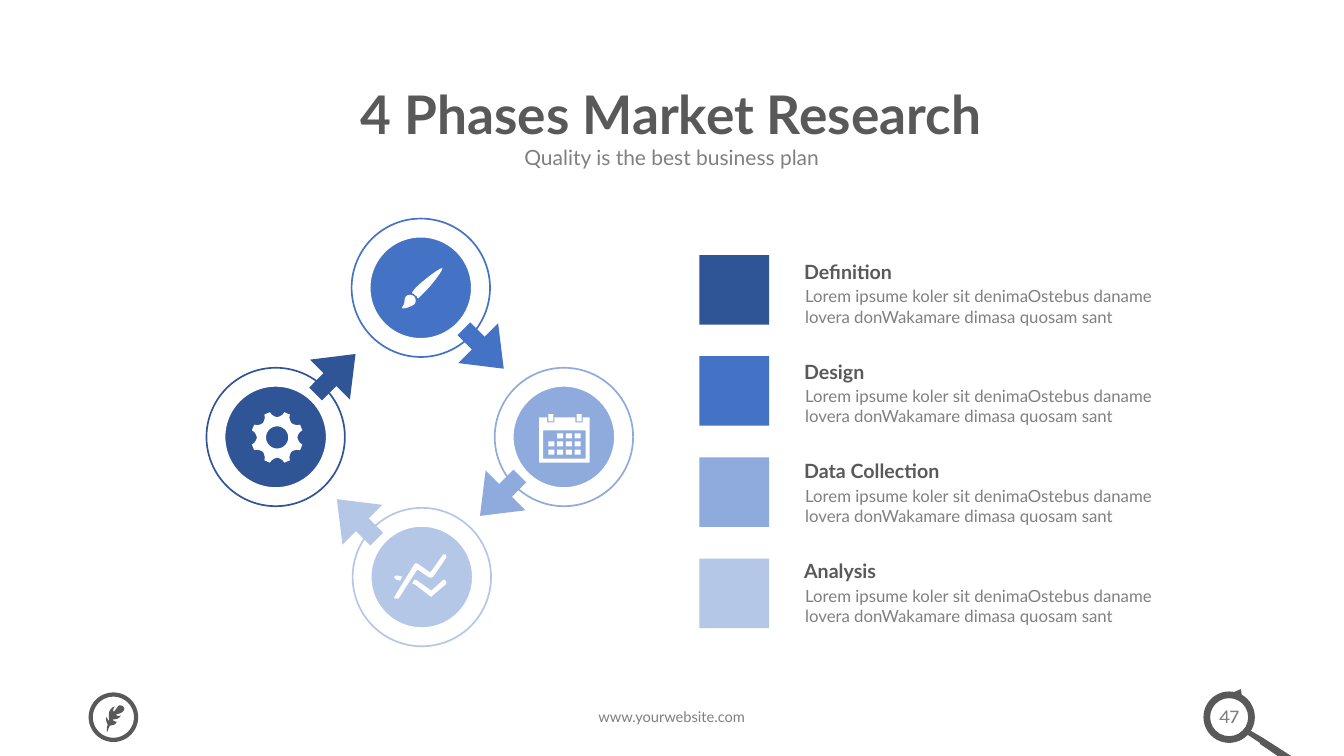
from math import cos, radians, sin

from pptx import Presentation
from pptx.dml.color import RGBColor
from pptx.enum.shapes import MSO_SHAPE
from pptx.enum.text import MSO_ANCHOR, MSO_AUTO_SIZE, PP_ALIGN
from pptx.util import Cm, Pt

# Content (positions in inches, turned into Cm by size())
COLORS = {"navy": "2F5597", "blue": "4472C4", "sky": "8FAADC", "pale": "B4C7E7",
          "dark": "595959", "gray": "808080", "white": "FFFFFF"}
TITLE = "4 Phases Market Research"
SUBTITLE = "Quality is the best business plan"
WEBSITE = "www.yourwebsite.com"
PAGE = "47"
LOREM = "Lorem ipsume koler sit denimaOstebus daname lovera donWakamare dimasa quosam sant"

# heading, colour, ring corner, arrow corner; arrows turn clockwise
PHASES = [
    ("Definition", "navy", (2.04, 3.64), (3.05, 3.43)),
    ("Design", "blue", (3.48, 2.16), (4.52, 3.18)),
    ("Data Collection", "sky", (4.9, 3.64), (4.68, 4.64)),
    ("Analysis", "pale", (3.49, 5.03), (3.26, 4.87)),
]
RING, DISC, ARROW, SQUARE = 1.39, 1.06, 0.56, 0.69

# Curved outlines: a start point, then two handles and an end point per curve
BRUSH_CURVES = [
    [(4.39, 2.66), (4.37, 2.65), (4.19, 2.79), (4.13, 2.85), (4.11, 2.87), (4.1, 2.89),
     (4.09, 2.9), (4.09, 2.9), (4.09, 2.9), (4.09, 2.91), (4.1, 2.91), (4.11, 2.92),
     (4.12, 2.93), (4.13, 2.94), (4.14, 2.94), (4.14, 2.95), (4.14, 2.95), (4.14, 2.96),
     (4.15, 2.96), (4.16, 2.95), (4.17, 2.94), (4.2, 2.91), (4.26, 2.86), (4.4, 2.68),
     (4.39, 2.66)],
    [(4.03, 2.94), (4, 2.97), (4.03, 3), (3.99, 3.05), (3.97, 3.07), (4.06, 3.06),
     (4.11, 3.02), (4.13, 3), (4.13, 2.97), (4.11, 2.94), (4.08, 2.92), (4.05, 2.92),
     (4.03, 2.94)],
]
FEATHER_CURVES = [
    [(1.07, 7.25), (1.07, 7.24), (1.08, 7.22), (1.09, 7.2), (1.12, 7.19), (1.14, 7.2),
     (1.16, 7.16), (1.14, 7.16), (1.12, 7.15), (1.12, 7.14), (1.12, 7.13), (1.17, 7.15),
     (1.2, 7.1), (1.16, 7.11), (1.15, 7.09), (1.15, 7.09), (1.17, 7.08), (1.2, 7.08),
     (1.22, 7.06), (1.23, 7.05), (1.24, 7.03), (1.23, 7.02), (1.23, 7.01), (1.2, 6.99),
     (1.18, 7), (1.17, 7), (1.14, 7.06), (1.13, 7.06), (1.12, 7.06), (1.12, 7.03),
     (1.14, 7.01), (1.12, 7.01), (1.1, 7.03), (1.09, 7.05), (1.07, 7.08), (1.09, 7.15),
     (1.08, 7.15), (1.08, 7.16), (1.06, 7.12), (1.06, 7.11), (1.05, 7.13), (1.05, 7.15),
     (1.07, 7.19), (1.06, 7.21), (1.06, 7.23), (1.06, 7.25), (1.06, 7.26), (1.07, 7.26),
     (1.07, 7.25)],
]
# Straight outlines
TREND = [
    [(4.14, 5.65), (4.26, 5.73), (4.28, 5.73), (4.3, 5.72), (4.43, 5.53), (4.43, 5.51),
     (4.42, 5.5), (4.4, 5.5), (4.39, 5.51), (4.27, 5.68), (4.14, 5.59), (4.12, 5.59),
     (4.11, 5.6), (3.92, 5.91), (3.91, 5.93), (3.92, 5.94), (3.94, 5.94), (3.96, 5.93)],
    [(4.39, 5.76), (4.28, 5.86), (4.14, 5.76), (4.11, 5.75), (4.09, 5.79), (4.12, 5.8),
     (4.26, 5.91), (4.28, 5.92), (4.29, 5.91), (4.42, 5.8), (4.43, 5.78), (4.42, 5.76),
     (4.4, 5.75)],
    [(3.93, 5.75), (3.97, 5.76), (3.99, 5.72), (3.94, 5.71), (3.92, 5.71), (3.91, 5.73)],
]
CALENDAR = [
    [(5.85, 4.14), (5.78, 4.14), (5.78, 4.19), (5.71, 4.19), (5.71, 4.14), (5.5, 4.14),
     (5.5, 4.19), (5.43, 4.19), (5.43, 4.14), (5.35, 4.14), (5.35, 4.59), (5.85, 4.59)],
    [(5.81, 4.55), (5.39, 4.55), (5.39, 4.27), (5.81, 4.27)],
]
HANDLE = [[(12.38, 7.29), (12.41, 7.25), (12.53, 7.32), (12.92, 7.57), (12.94, 7.6),
           (12.9, 7.65), (12.5, 7.38), (12.5, 7.37)]]

deck = Presentation()
deck.slide_width, deck.slide_height = Cm(33.87), Cm(19.05)
slide = deck.slides.add_slide(deck.slide_layouts[6])


def size(inches):
    return Cm(inches * 2.54)


def rgb(color):
    return RGBColor.from_string(COLORS[color])


def paint(shape, fill=None, line=None, width=1):
    shape.shadow.inherit = False
    if fill:
        shape.fill.solid()
        shape.fill.fore_color.rgb = rgb(fill)
    else:
        shape.fill.background()
    if line:
        shape.line.color.rgb = rgb(line)
        shape.line.width = Pt(width)
    else:
        shape.line.fill.background()


def add_preset(kind, x, y, w, h, adjust=(), turn=0, **look):
    shape = slide.shapes.add_shape(kind, size(x), size(y), size(w), size(h))
    for i, value in enumerate(adjust):
        shape.adjustments[i] = value
    shape.rotation = turn
    paint(shape, **look)


def add_outline(contours, fill):
    builder = None
    for contour in contours:
        points = [(size(x), size(y)) for x, y in contour]
        if builder is None:
            builder = slide.shapes.build_freeform(*points[0])
        else:
            builder.move_to(*points[0])
        builder.add_line_segments(points[1:], close=True)
    paint(builder.convert_to_shape(), fill=fill)


def add_text(text, x, y, w, h, points=12, color="gray", font="Lato", bold=False,
             align=PP_ALIGN.LEFT, anchor=MSO_ANCHOR.TOP, spacing=None, inset=(0.1, 0.05),
             grow=True):
    box = slide.shapes.add_textbox(size(x), size(y), size(w), size(h))
    frame = box.text_frame
    frame.word_wrap = True
    frame.auto_size = MSO_AUTO_SIZE.SHAPE_TO_FIT_TEXT if grow else MSO_AUTO_SIZE.NONE
    frame.vertical_anchor = anchor
    frame.margin_left = frame.margin_right = size(inset[0])
    frame.margin_top = frame.margin_bottom = size(inset[1])
    paragraph = frame.paragraphs[0]
    paragraph.alignment = align
    paragraph.line_spacing = spacing
    run = paragraph.add_run()
    run.text = text
    run.font.name, run.font.size, run.font.bold = font, Pt(points), bold
    run.font.color.rgb = rgb(color)


def polar(x, y, radius, angle):
    return x + radius * cos(radians(angle)), y + radius * sin(radians(angle))


def trace(curves, steps=6):
    """Follow a chain of cubic curves as short straight steps."""
    points = [curves[0]]
    for i in range(0, len(curves) - 1, 3):
        for step in range(1, steps + 1):
            t = step / steps
            weights = ((1 - t) ** 3, 3 * t * (1 - t) ** 2, 3 * t * t * (1 - t), t ** 3)
            points.append(tuple(sum(w * p[axis] for w, p in zip(weights, curves[i:i + 4]))
                                for axis in (0, 1)))
    return points


# Heading
add_text(TITLE, 1.66, 0.75, 10, 0.82, points=38, color="dark", bold=True,
         align=PP_ALIGN.CENTER, anchor=MSO_ANCHOR.MIDDLE, spacing=0.9, grow=False)
add_text(SUBTITLE, 2.67, 1.36, 7.99, 0.39, points=15, align=PP_ALIGN.CENTER,
         inset=(0.13, 0.07))

# Legend and arrows
for i, (heading, color, ring, arrow) in enumerate(PHASES):
    add_preset(MSO_SHAPE.RECTANGLE, 6.94, 2.53 + 1.004 * i, SQUARE, SQUARE, fill=color)
    add_text(LOREM, 7.89, 2.79 + 0.99 * i, 3.66, 0.5)
    add_text(heading, 7.88, 2.41 + 0.99 * i, 2.13, 0.45, points=14, color="dark", bold=True,
             anchor=MSO_ANCHOR.MIDDLE, spacing=1.5)
    add_preset(MSO_SHAPE.RIGHT_ARROW, *arrow, ARROW, ARROW, adjust=(0.32, 0.64),
               turn=(315 + 90 * i) % 360, fill=color)

# Rings and discs
for _, color, (x, y), _ in PHASES:
    inset = (RING - DISC) / 2
    add_preset(MSO_SHAPE.DONUT, x, y, RING, RING, adjust=(0.012,), fill=color)
    add_preset(MSO_SHAPE.OVAL, x + inset, y + inset, DISC, DISC, fill=color, line="white",
               width=4.5)

# Gear: eight round notches and a hole
GEAR_CENTER = (2.75, 4.34)
NOTCH = [(-16, 0.26), (-13, 0.23), (-7, 0.21), (0, 0.2), (7, 0.21), (13, 0.23), (16, 0.26)]
gear_rim = [polar(*GEAR_CENTER, radius, 45 * k + turn) for k in range(8) for turn, radius in NOTCH]
gear_hole = [polar(*GEAR_CENTER, 0.11, angle) for angle in range(0, 360, 10)]
add_outline([gear_rim, gear_hole], "white")

# Brush, calendar, trend lines
add_outline([trace(curves) for curves in BRUSH_CURVES], "white")
add_outline(CALENDAR, "white")
for x in (5.44, 5.72):
    add_preset(MSO_SHAPE.RECTANGLE, x, 4.11, 0.05, 0.07, fill="white")
for day in range(1, 12):
    row, column = divmod(day, 4)
    add_preset(MSO_SHAPE.RECTANGLE, 5.44 + 0.087 * column, 4.3 + 0.08 * row, 0.06, 0.05,
               fill="white")
add_outline(TREND, "white")

# Footer: feather badge, address, magnifier with page number
add_preset(MSO_SHAPE.OVAL, 0.9, 6.89, 0.45, 0.45, line="dark", width=3)
add_outline([trace(curves) for curves in FEATHER_CURVES], "dark")
add_text(WEBSITE, 4.25, 6.97, 4.83, 0.29, points=10.5, align=PP_ALIGN.CENTER)
add_text(PAGE, 11.89, 6.93, 0.61, 0.34, points=14, font="Karla", align=PP_ALIGN.CENTER)
add_preset(MSO_SHAPE.RIGHT_ARROW, 12.23, 6.83, 0.11, 0.11, adjust=(0.32, 0.64), turn=298.7,
           fill="dark")
add_preset(MSO_SHAPE.DONUT, 11.94, 6.86, 0.51, 0.51, adjust=(0.13,), fill="dark")
add_outline(HANDLE, "dark")

deck.save("out.pptx")
